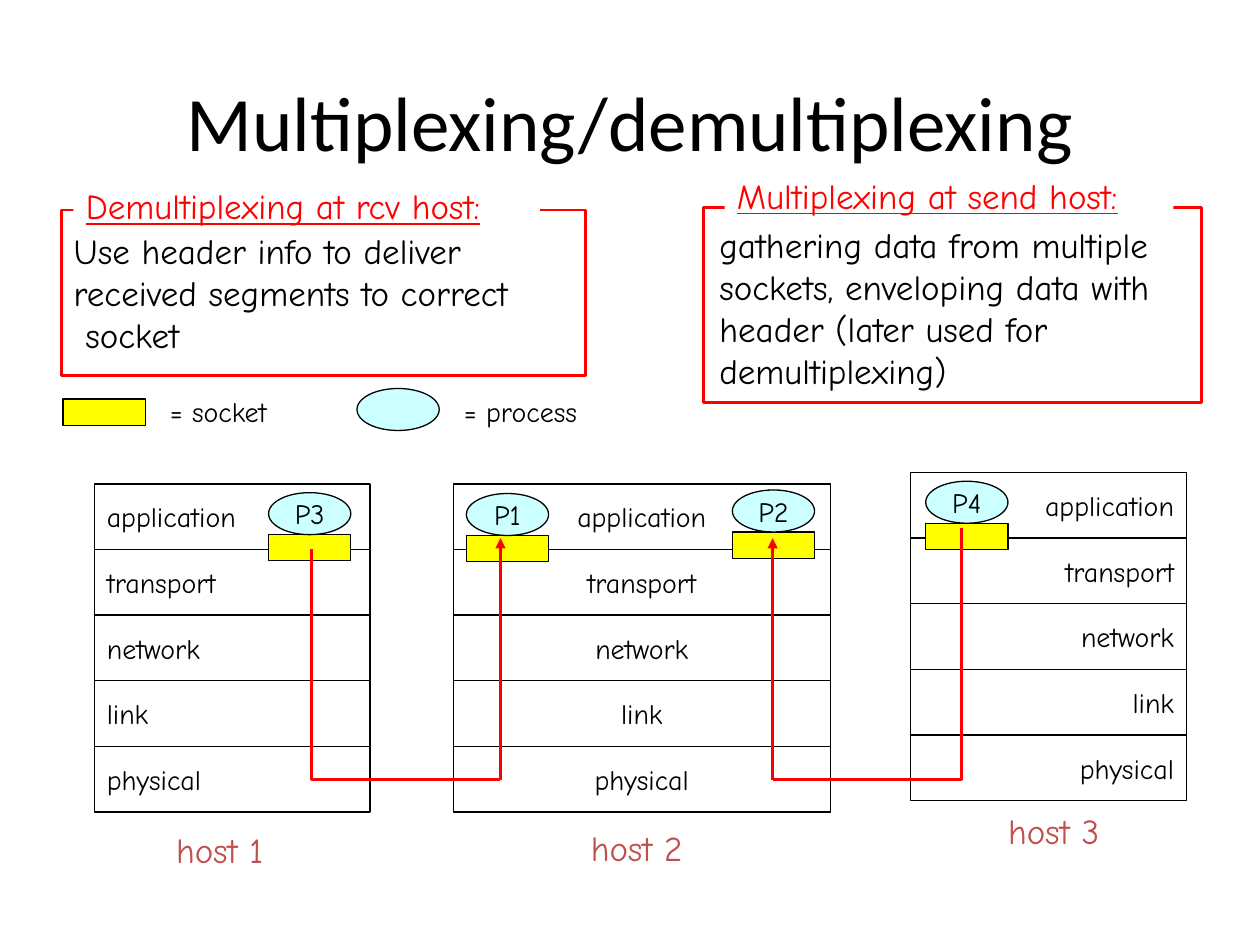
from lxml import etree
from pptx import Presentation
from pptx.dml.color import RGBColor
from pptx.enum.shapes import MSO_CONNECTOR as Link, MSO_SHAPE as Form
from pptx.enum.text import MSO_ANCHOR as Anchor, PP_ALIGN as Align
from pptx.oxml.ns import qn
from pptx.util import Pt

BLACK = RGBColor(0x00, 0x00, 0x00)
WHITE = RGBColor(0xFF, 0xFF, 0xFF)
RED = RGBColor(0xFF, 0x00, 0x00)
BRICK = RGBColor(0xC0, 0x50, 0x4D)
YELLOW = RGBColor(0xFF, 0xFF, 0x00)
CYAN = RGBColor(0xCC, 0xFF, 0xFF)
FONT = "Comic Neue"
ROW = 37.5
OVAL_W, OVAL_H, SOCK_H = 47, 24, 15

deck = Presentation()
deck.slide_width, deck.slide_height = Pt(720), Pt(540)
slide = deck.slides.add_slide(deck.slide_layouts[5])
shapes = slide.shapes


def write(shape, lines, size=16, color=BLACK, align=Align.LEFT,
          anchor=Anchor.MIDDLE, under=None):
    """Fill a shape with one paragraph per line, without wrapping."""
    frame = shape.text_frame
    frame.word_wrap = False
    frame.vertical_anchor = anchor
    for i, line in enumerate(lines):
        para = frame.add_paragraph() if i else frame.paragraphs[0]
        para.alignment = align
        run = para.add_run()
        run.text = line
        run.font.name, run.font.size = FONT, Pt(size)
        run.font.color.rgb = color
        run.font.underline = under


def draw(form, x, y, w, h, fill=None, line=BLACK, width=0.75):
    """Add a shape; a fill or line of None leaves it out."""
    shape = shapes.add_shape(form, Pt(x), Pt(y), Pt(w), Pt(h))
    shape.shadow.inherit = False
    if fill is None:
        shape.fill.background()
    else:
        shape.fill.solid()
        shape.fill.fore_color.rgb = fill
    if line is None:
        shape.line.fill.background()
    else:
        shape.line.color.rgb = line
        shape.line.width = Pt(width)
    return shape


title = shapes.title
title.left, title.top, title.width, title.height = Pt(54), Pt(24), Pt(612), Pt(90)
title.text_frame.vertical_anchor = Anchor.MIDDLE
para = title.text_frame.paragraphs[0]
para.alignment = Align.CENTER
run = para.add_run()
run.text = "Multiplexing/demultiplexing"
run.font.name, run.font.size = "Calibri", Pt(44)
run.font.color.rgb = BLACK

# Protocol stacks
layers = ["application", "transport", "network", "link", "physical"]
stacks = [
    (54, 276.5, 157.5, Align.LEFT),
    (520.5, 270, 157.5, Align.RIGHT),
    (259, 276.5, 215.5, Align.CENTER),
]
for x, y, w, align in stacks:
    for i, layer in enumerate(layers):
        cell = draw(Form.RECTANGLE, x, y + i * ROW, w, ROW, WHITE)
        write(cell, [layer], align=align)

# Each process sits on its socket
for name, x, y in [("P2", 418.5, 280), ("P3", 153.5, 281.5),
                   ("P4", 529, 275), ("P1", 266.5, 282)]:
    draw(Form.RECTANGLE, x, y + OVAL_H, OVAL_W, SOCK_H, YELLOW)
    oval = draw(Form.OVAL, x, y, OVAL_W, OVAL_H, CYAN)
    write(oval, [name], align=Align.CENTER)

# Host names and legend labels
labels = [
    ("host 1", 93.5, 470, 70.5, 31, 20, BRICK),
    ("host 2", 330.5, 468.5, 74, 31, 20, BRICK),
    ("host 3", 569, 459, 74, 31, 20, BRICK),
    ("= process", 258, 222, 84, 26.5, 16, BLACK),
    ("= socket", 90, 222, 76, 26.5, 16, BLACK),
]
for text, x, y, w, h, size, color in labels:
    box = shapes.add_textbox(Pt(x), Pt(y), Pt(w), Pt(h))
    write(box, [text], size, color, anchor=Anchor.TOP)

# Data goes down from the sender's socket and up to the receiver's
WIRE_Y, TIP_Y = 445.5, 307.5
for start, top, end in [(178, 314, 286), (549.5, 301.5, 441.5)]:
    route = [(start, top), (start, WIRE_Y), (end, WIRE_Y), (end, TIP_Y)]
    for (x1, y1), (x2, y2) in zip(route, route[1:]):
        wire = shapes.add_connector(Link.STRAIGHT, Pt(x1), Pt(y1), Pt(x2), Pt(y2))
        wire.line.color.rgb = RED
        wire.line.width = Pt(1.5)
        etree.SubElement(wire._element.spPr, qn("a:effectLst"))
    etree.SubElement(wire.line._get_or_add_ln(), qn("a:tailEnd"), type="triangle")

# Legend keys
draw(Form.RECTANGLE, 36, 228, OVAL_W, SOCK_H, YELLOW)
draw(Form.OVAL, 204, 222, OVAL_W, OVAL_H, CYAN)

# Definitions
frame = draw(Form.RECTANGLE, 35, 120, 299.5, 94.5, line=RED, width=1.5)
write(frame, ["Use header info to deliver", "received segments to correct",
              " socket"], 20)
draw(Form.RECTANGLE, 402, 118.5, 284.5, 111.5, line=RED, width=1.5)
box = shapes.add_textbox(Pt(404), Pt(124), Pt(293), Pt(103))
write(box, ["gathering data from multiple", "sockets, enveloping data with",
            "header (later used for", "demultiplexing)"], 20)
for text, x, y, w in [("Demultiplexing at rcv host:", 42, 102, 266.5),
                      ("Multiplexing at send host:", 414, 96, 256.5)]:
    head = draw(Form.RECTANGLE, x, y, w, 31, WHITE, None)
    write(head, [text], 20, RED, anchor=Anchor.TOP, under=True)

deck.save("out.pptx")
